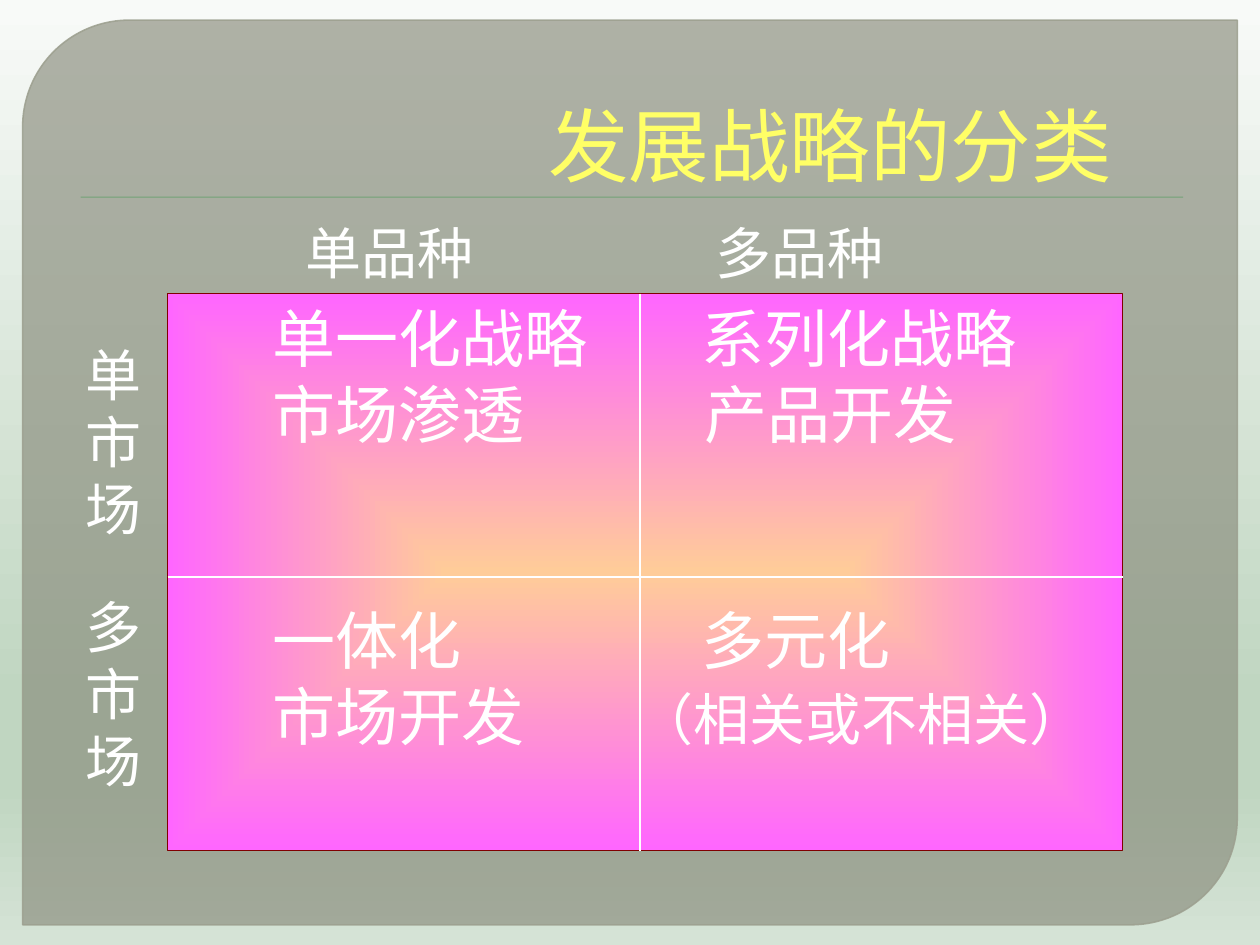
from dataclasses import dataclass

from lxml.etree import SubElement
from pptx import Presentation
from pptx.dml.color import RGBColor as RGB
from pptx.enum.shapes import MSO_CONNECTOR as Link, MSO_SHAPE as Kind
from pptx.enum.text import MSO_ANCHOR as Anchor, PP_ALIGN as Align
from pptx.oxml.ns import qn
from pptx.util import Inches, Pt


@dataclass(frozen=True)
class Theme:
    sky: tuple = ((0, "F8FAF8"), (74, "C0D6C1"), (83, "C0D6C1"), (100, "D5E3D6"))
    glow: tuple = ((0, "FFCC99"), (100, "FF66FF"))
    panel: str = "888B7B"
    edge: str = "9DA090"
    rule: str = "72A376"
    frame: str = "800000"
    white: str = "FFFFFF"
    yellow: str = "FFFF66"
    head: str = "Roboto Slab"
    body: str = "Arial"
    title: int = 46
    cell: int = 36
    label: int = 32


T = Theme()


def box_of(*sides):
    return [Inches(side) for side in sides]


def fade(color, alpha):
    """Make a solid fill see-through; alpha is the opacity in percent."""
    clr = color.find(qn("a:srgbClr"))
    SubElement(clr, qn("a:alpha")).set("val", str(alpha * 1000))


def blend(fill, owner, stops, radial=False):
    """Replace the owner's fill by a gradient with the given stops."""
    fill.solid()
    old = owner.find(qn("a:solidFill"))
    grad = old.makeelement(qn("a:gradFill"), {"rotWithShape": "1"})
    owner.replace(old, grad)
    group = SubElement(grad, qn("a:gsLst"))
    for pos, tone in stops:
        stop = SubElement(group, qn("a:gs"), pos=str(pos * 1000))
        SubElement(stop, qn("a:srgbClr"), val=tone)
    if radial:
        way = SubElement(grad, qn("a:path"), path="shape")
        sides = dict.fromkeys("ltrb", "50000")
        SubElement(way, qn("a:fillToRect"), sides)
    else:
        SubElement(grad, qn("a:lin"), ang="5400000", scaled="0")


def block(slide, kind, at, fill=None, line=None, width=1):
    shape = slide.shapes.add_shape(kind, *box_of(*at))
    shape.shadow.inherit = False
    if fill:
        shape.fill.solid()
        shape.fill.fore_color.rgb = RGB.from_string(fill)
    if line:
        shape.line.color.rgb = RGB.from_string(line)
        shape.line.width = Pt(width)
    else:
        shape.line.fill.background()
    return shape


def write(shape, lines, size, font=T.head, color=T.white, align=Align.LEFT,
          anchor=Anchor.MIDDLE, wrap=True):
    frame = shape.text_frame
    frame.word_wrap = wrap
    frame.vertical_anchor = anchor
    for i, line in enumerate(lines):
        para = frame.paragraphs[0] if i == 0 else frame.add_paragraph()
        para.alignment = align
        run = para.add_run()
        run.text = line
        run.font.size = Pt(size)
        run.font.name = font
        run.font.color.rgb = RGB.from_string(color)
    return frame


def label(slide, at, lines, size=T.label, **style):
    return write(slide.shapes.add_textbox(*box_of(*at)), lines, size, **style)


def set_tab(para, pos):
    tabs = SubElement(para._p.get_or_add_pPr(), qn("a:tabLst"))
    SubElement(tabs, qn("a:tab"), pos=str(Inches(pos)), algn="l")


def divide(slide, start, end):
    line = slide.shapes.add_connector(Link.STRAIGHT, *box_of(*start, *end))
    line.line.color.rgb = RGB.from_string(T.white)
    line.line.width = Pt(0.75)
    SubElement(line._element.spPr, qn("a:effectLst"))


def draw_base(slide):
    fill = slide.background.fill
    fill.solid()
    blend(fill, slide._element.cSld.bg.bgPr, T.sky)
    panel = block(slide, Kind.ROUND_2_DIAG_RECTANGLE, (0.18, 0.16, 9.64, 7.18),
                  T.panel, T.edge, 0.87)
    panel.adjustments[0] = 0.118
    props = panel._element.spPr
    fade(props.find(qn("a:solidFill")), 65)
    fade(props.find(qn("a:ln")).find(qn("a:solidFill")), 88)
    block(slide, Kind.RECTANGLE, (0.64, 1.56, 8.75, 0.01), T.rule)


def draw_matrix(slide):
    left, top, wide, high = 1.33, 2.33, 7.58, 4.42
    grid = block(slide, Kind.RECTANGLE, (left, top, wide, high), line=T.frame)
    blend(grid.fill, grid._element.spPr, T.glow, radial=True)
    rows = ["单一化战略\t系列化战略", "市场渗透\t产品开发",
            "一体化\t多元化", "市场开发\t"]
    frame = write(grid, rows, T.cell, font=T.body, anchor=Anchor.TOP)
    frame.margin_left = Inches(0.83)
    for para, tab in zip(frame.paragraphs, (3.41, 3.43, 3.41, 2.9)):
        set_tab(para, tab)
    frame.paragraphs[2].space_before = Pt(86)
    note = frame.paragraphs[3].add_run()
    note.text = "（相关或不相关）"
    note.font.size = Pt(T.label)
    note.font.name = T.body
    note.font.color.rgb = RGB.from_string(T.white)
    divide(slide, (5.08, top), (5.08, top + high))
    divide(slide, (left, 4.58), (left + wide, 4.58))


def main():
    deck = Presentation()
    deck.slide_width, deck.slide_height = box_of(10, 7.5)
    slide = deck.slides.add_slide(deck.slide_layouts[6])
    draw_base(slide)
    label(slide, (2.56, 0.33, 6.36, 1.25), ["发展战略的分类"], T.title,
          color=T.yellow, align=Align.RIGHT, anchor=Anchor.BOTTOM)
    draw_matrix(slide)
    for i, (kind, market) in enumerate((("单品种", "单市场"), ("多品种", "多市场"))):
        label(slide, (2.33 + 3.25 * i, 1.75, 2.42, 0.5), [kind], wrap=False)
        label(slide, (0.58, 2.5 + 2 * i, 0.5, 2), market, wrap=False)
    deck.save("out.pptx")


if __name__ == "__main__":
    main()
